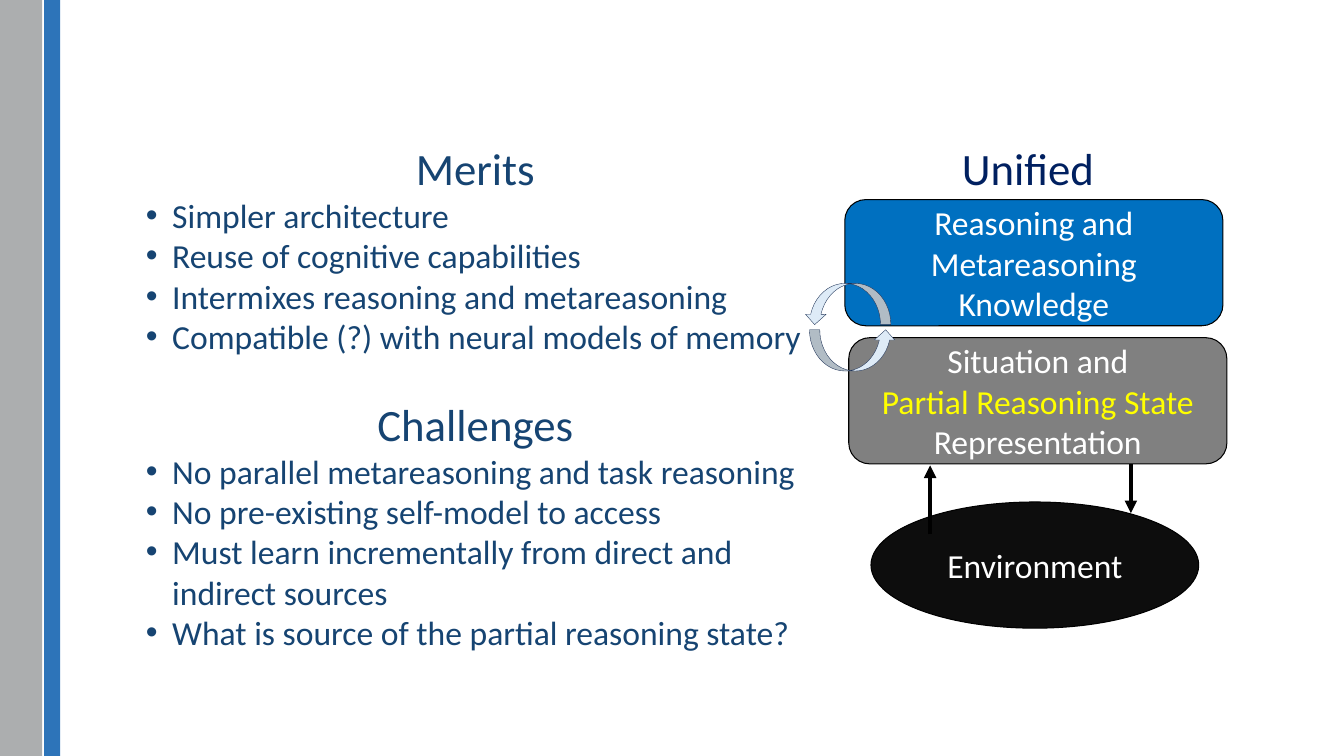
from lxml.etree import SubElement
from pptx import Presentation
from pptx.dml.color import RGBColor
from pptx.enum.shapes import MSO_CONNECTOR, MSO_SHAPE
from pptx.enum.text import MSO_ANCHOR, PP_ALIGN
from pptx.oxml.ns import qn
from pptx.util import Cm, Pt

COLORS = {
    "sidebar": "ACAEAF", "stripe": "2D74B9", "body": "164472", "heading": "002060",
    "knowledge": "0070C0", "situation": "808080", "environment": "0D0D0D",
    "cycle": "DEEBF7", "cycle_line": "1E3256", "black": "000000",
    "white": "FFFFFF", "highlight": "FFFF00",
}
FONT = "Calibri"
HEADING_SIZE, BODY_SIZE = 32, 24

POINTS = {
    "Merits": [
        "Simpler architecture",
        "Reuse of cognitive capabilities",
        "Intermixes reasoning and metareasoning",
        "Compatible (?) with neural models of memory",
    ],
    "Challenges": [
        "No parallel metareasoning and task reasoning",
        "No pre-existing self-model to access",
        "Must learn incrementally from direct and indirect sources",
        "What is source of the partial reasoning state?",
    ],
}


def color(name):
    return RGBColor.from_string(COLORS[name])


def format_runs(paragraph, size, color_name):
    for run in paragraph.runs:
        run.font.name = FONT
        run.font.size = Pt(size)
        run.font.color.rgb = color(color_name)


def add_filled_shape(slide, kind, box, fill, line=None, line_width=0.75):
    shape = slide.shapes.add_shape(kind, *(Cm(length) for length in box))
    shape.shadow.inherit = False
    shape.fill.solid()
    shape.fill.fore_color.rgb = color(fill)
    if line:
        shape.line.color.rgb = color(line)
        shape.line.width = Pt(line_width)
    else:
        shape.line.fill.background()
    return shape


def add_labelled_shape(slide, kind, box, fill, lines):
    """Add a shape with centred lines, each given as (text, colour name)."""
    shape = add_filled_shape(slide, kind, box, fill, "black")
    frame = shape.text_frame
    frame.word_wrap = True
    frame.vertical_anchor = MSO_ANCHOR.MIDDLE
    frame.margin_left = frame.margin_right = frame.margin_top = frame.margin_bottom = 0
    frame.text = "\n".join(text for text, _ in lines)
    for paragraph, (_, color_name) in zip(frame.paragraphs, lines):
        paragraph.alignment = PP_ALIGN.CENTER
        format_runs(paragraph, BODY_SIZE, color_name)


def add_text_box(slide, box):
    frame = slide.shapes.add_textbox(*(Cm(length) for length in box)).text_frame
    frame.word_wrap = True
    return frame


def add_arrow(slide, x, start, end):
    arrow = slide.shapes.add_connector(
        MSO_CONNECTOR.STRAIGHT, Cm(x), Cm(start), Cm(x), Cm(end))
    arrow.line.color.rgb = color("black")
    arrow.line.width = Pt(3)
    SubElement(arrow.line._get_or_add_ln(), qn("a:tailEnd"), type="triangle")
    SubElement(arrow._element.spPr, qn("a:effectLst"))


def add_bullet(paragraph, indent):
    properties = paragraph._p.get_or_add_pPr()
    properties.set("marL", str(Cm(indent)))
    properties.set("indent", str(-Cm(indent)))
    SubElement(properties, qn("a:buFont"), typeface="Arial")
    SubElement(properties, qn("a:buChar"), char="•")


def add_sidebar(slide, left, top, width, height):
    gray_width, gap = 0.7 * width, 0.05
    stripe_left = left + gray_width + gap
    add_filled_shape(slide, MSO_SHAPE.RECTANGLE,
                     (left, top, gray_width, height), "sidebar")
    add_filled_shape(slide, MSO_SHAPE.RECTANGLE,
                     (stripe_left, top, left + width - stripe_left, height), "stripe")


def add_points(slide, left, top, width, height):
    frame = add_text_box(slide, (left, top, width, height))
    paragraph = frame.paragraphs[0]
    for index, (heading, bullets) in enumerate(POINTS.items()):
        if index:
            paragraph = frame.add_paragraph()
            paragraph.space_before = Pt(29)
        paragraph.text = heading
        paragraph.alignment = PP_ALIGN.CENTER
        format_runs(paragraph, HEADING_SIZE, "body")
        for bullet in bullets:
            paragraph = frame.add_paragraph()
            add_bullet(paragraph, 0.66)
            paragraph.text = bullet
            format_runs(paragraph, BODY_SIZE, "body")


def add_unified_diagram(slide, left, top):
    heading = add_text_box(slide, (left + 1.22, top, 8.84, 1.63)).paragraphs[0]
    heading.text = "Unified"
    heading.alignment = PP_ALIGN.CENTER
    format_runs(heading, HEADING_SIZE, "heading")

    box_width, box_height = 9.53, 3.18
    situation_top = top + 5.08
    situation_bottom = situation_top + box_height
    add_arrow(slide, left + 8.23, situation_bottom, top + 9.5)
    add_labelled_shape(slide, MSO_SHAPE.OVAL,
                       (left + 1.68, top + 9.22, 8.26, box_height),
                       "environment", [("Environment", "white")])
    add_arrow(slide, left + 3.17, top + 10.03, situation_bottom + 0.04)
    add_labelled_shape(slide, MSO_SHAPE.ROUNDED_RECTANGLE,
                       (left + 1.12, situation_top, box_width, box_height), "situation",
                       [("Situation and", "white"),
                        ("Partial Reasoning State", "highlight"),
                        ("Representation", "white")])
    add_labelled_shape(slide, MSO_SHAPE.ROUNDED_RECTANGLE,
                       (left + 1.02, top + 1.6, box_width, box_height), "knowledge",
                       [("Reasoning and Metareasoning", "white"),
                        ("Knowledge", "white")])
    for x, y, rotation in ((0.13, 4.88, 0), (0, 3.71, 180)):
        cycle = add_filled_shape(slide, MSO_SHAPE.CURVED_UP_ARROW,
                                 (left + x, top + y, 2.18, 1.04),
                                 "cycle", "cycle_line", 0.25)
        cycle.rotation = rotation


def main():
    presentation = Presentation()
    presentation.slide_width, presentation.slide_height = Cm(33.87), Cm(19.05)
    slide = presentation.slides.add_slide(presentation.slide_layouts[6])
    add_sidebar(slide, 0, 0, 1.52, 19.05)
    add_unified_diagram(slide, 20.27, 3.43)
    add_points(slide, 3.43, 3.43, 17.1, 13.5)
    presentation.save("out.pptx")


if __name__ == "__main__":
    main()
